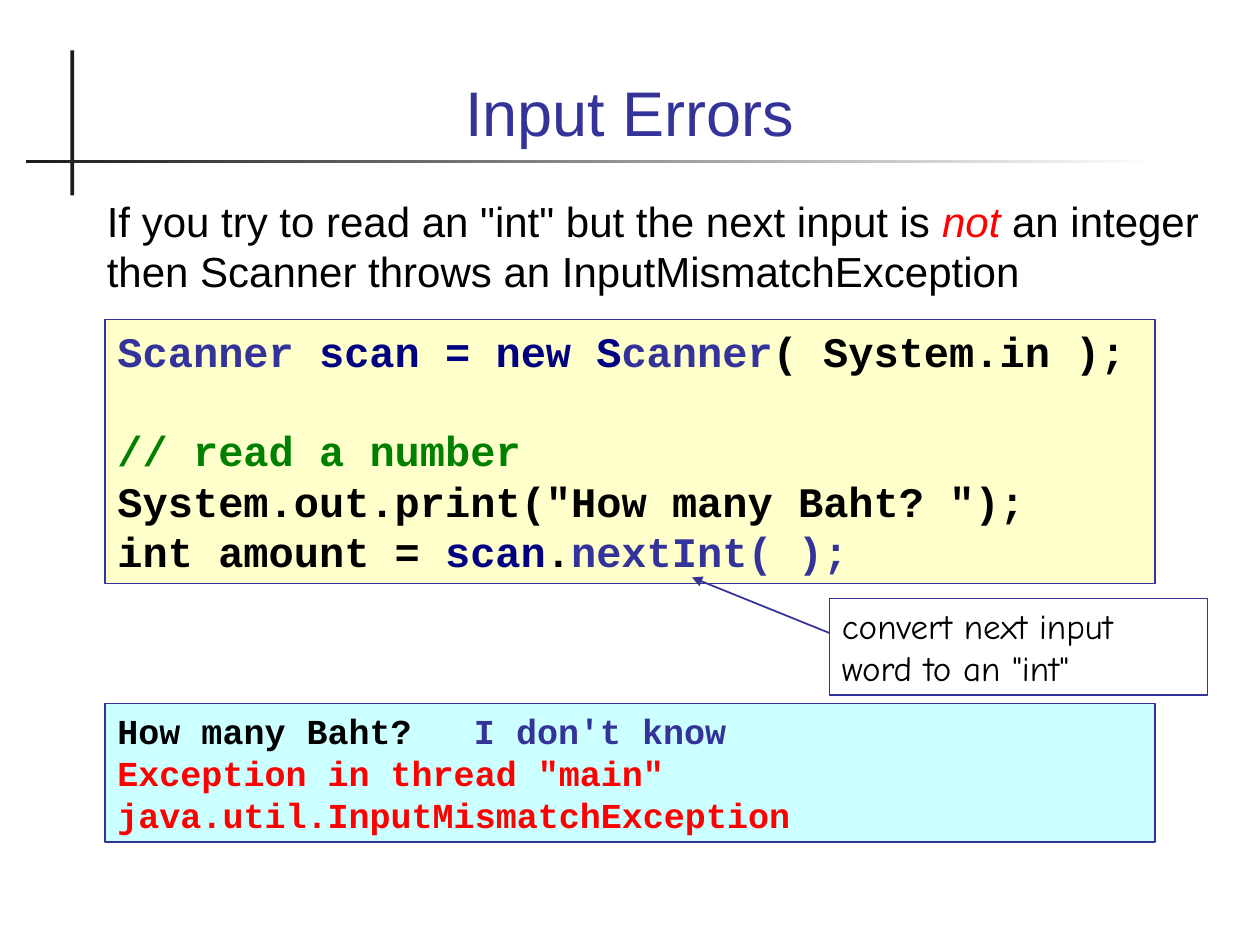
"""Build the Input Errors slide on a grid of 120 columns by 90 rows."""
from pptx import Presentation
from pptx.dml.color import RGBColor as Rgb
from pptx.enum.shapes import MSO_CONNECTOR as Conn, MSO_SHAPE as Kind
from pptx.enum.text import MSO_ANCHOR as Anchor, MSO_AUTO_SIZE as Fit, PP_ALIGN as Align
from pptx.oxml.ns import qn
from pptx.util import Inches, Pt
from lxml.etree import SubElement as Sub

BLUE = Rgb(0x33, 0x33, 0x99)
NAVY = Rgb(0x00, 0x00, 0x80)
GREEN = Rgb(0x00, 0x80, 0x00)
RED = Rgb(0xFF, 0x00, 0x00)
BLACK = Rgb(0x00, 0x00, 0x00)
WHITE = Rgb(0xFF, 0xFF, 0xFF)
DARK = Rgb(0x1C, 0x1C, 0x1C)
CREAM = Rgb(0xFF, 0xFF, 0xCC)
AQUA = Rgb(0xCC, 0xFF, 0xFF)
SANS, MONO, HAND = "Arial", "Courier New", "Comic Neue"


class Deck:
    def __init__(self, cols=120, rows=90):
        self.prs = Presentation()
        self.prs.slide_width, self.prs.slide_height = Inches(10), Inches(7.5)
        self.col = self.prs.slide_width / cols
        self.row = self.prs.slide_height / rows
        self.slide = self.prs.slides.add_slide(self.prs.slide_layouts[5])
        self.shapes = self.slide.shapes

    def grid(self, x, y):
        return round(x * self.col), round(y * self.row)

    def area(self, x, y, wide, high):
        return *self.grid(x, y), *self.grid(wide, high)

    def words(self, shape, lines, font, size, bold=False, align=Align.LEFT,
              anchor=Anchor.TOP, fit=Fit.NONE):
        frame = shape.text_frame
        frame.word_wrap, frame.auto_size = True, fit
        frame.vertical_anchor = anchor
        for i, line in enumerate(lines):
            para = frame.add_paragraph() if i else frame.paragraphs[0]
            para.alignment = align
            for text, color in line:
                run = para.add_run()
                run.text = text
                run.font.name, run.font.size = font, Pt(size)
                run.font.bold, run.font.color.rgb = bold, color
        return frame.paragraphs

    def title(self, text, place, size):
        shape = self.shapes.title
        shape.left, shape.top, shape.width, shape.height = self.area(*place)
        self.words(shape, [[(text, BLUE)]], SANS, size,
                   align=Align.CENTER, anchor=Anchor.BOTTOM)

    def text(self, lines, place, size):
        return self.words(self.shapes.add_textbox(*self.area(*place)), lines, SANS, size)

    def rect(self, place, color):
        shape = self.shapes.add_shape(Kind.RECTANGLE, *self.area(*place))
        shape.shadow.inherit = False
        shape.fill.solid()
        shape.fill.fore_color.rgb = color
        shape.line.fill.background()
        return shape

    def fade(self, place, *colors):
        fill = self.rect(place, WHITE).fill
        fill.gradient()
        fill.gradient_angle = 0
        for stop, color in zip(fill.gradient_stops, colors):
            stop.color.rgb = color

    def box(self, lines, place, color, font, size, bold=True):
        shape = self.rect(place, color)
        shape.line.color.rgb, shape.line.width = BLUE, Pt(0.75)
        return self.words(shape, lines, font, size, bold, fit=Fit.SHAPE_TO_FIT_TEXT)

    def tab(self, para, inch):
        tabs = Sub(para._p.get_or_add_pPr(), qn("a:tabLst"))
        Sub(tabs, qn("a:tab"), pos=str(Inches(inch)), algn="l")

    def arrow(self, start, end):
        line = self.shapes.add_connector(Conn.STRAIGHT, *self.grid(*start), *self.grid(*end))
        line.line.color.rgb, line.line.width = BLUE, Pt(1)
        props = line._element.spPr
        Sub(props.find(qn("a:ln")), qn("a:tailEnd"), type="triangle")
        Sub(props, qn("a:effectLst"))


def main():
    deck = Deck()
    deck.rect((6.7, 4.8, 0.36, 13.8), DARK)
    deck.fade((2.5, 15.2, 107.9, 0.36), DARK, WHITE)
    deck.title("Input Errors", (8, 3.4, 104, 11.4), 36)

    intro = deck.text([[
        ('If you try to read an "int" but the next input is ', BLACK),
        ("not ", RED),
        ("an integer then Scanner throws an InputMismatchException", BLACK),
    ]], (9, 18, 107, 11), 24)
    intro[0].runs[1].font.italic = True

    code = deck.box([
        [("Scanner", BLUE), (" scan = new S", NAVY), ("canner", BLUE),
         ("( System.in );", BLACK)],
        [("// read a number", GREEN)],
        [('System.out.print("How many Baht? ");', BLACK)],
        [("int amount = ", BLACK), ("scan", NAVY), (".", BLACK), ("nextInt( );", BLUE)],
    ], (10, 30.4, 100, 25.2), CREAM, MONO, 24)
    code[1].space_before = Pt(28)

    output = deck.box([
        [("How many Baht?\t", BLACK), ("I don't know", BLUE)],
        [('Exception in thread "main" java.util.InputMismatchException', RED)],
    ], (10, 67, 100, 13.2), AQUA, MONO, 20)
    deck.tab(output[0], 2.83)

    deck.arrow((81, 61.1), (65.9, 55))
    deck.box([[('convert next input word to an "int"', BLACK)]],
             (79, 57, 36, 9.2), WHITE, HAND, 20, bold=False)
    deck.prs.save("out.pptx")


if __name__ == "__main__":
    main()
